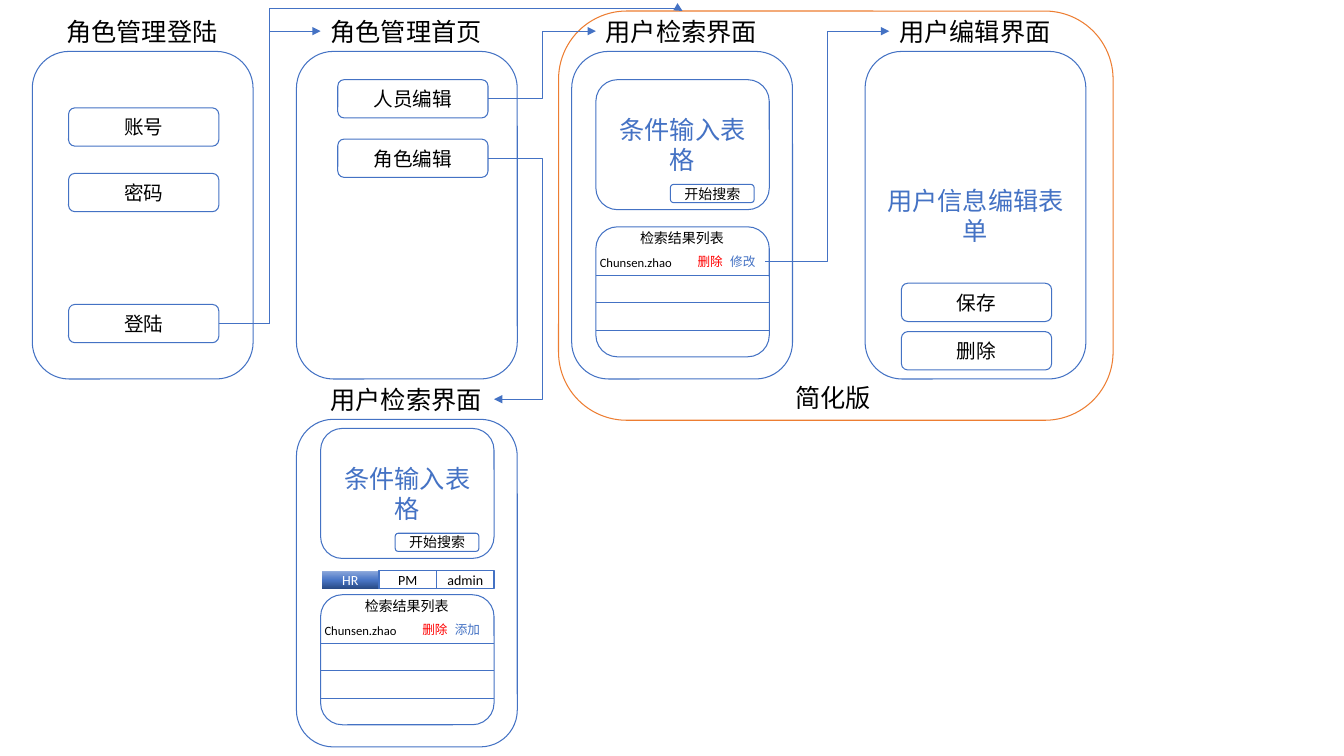
from copy import deepcopy
from dataclasses import dataclass

from pptx import Presentation
from pptx import util as u
from pptx.dml.color import RGBColor
from pptx.enum import shapes, text
from pptx.oxml import parse_xml
from pptx.oxml.ns import nsdecls, qn


@dataclass(frozen=True)
class Theme:
    """Colours, font and type sizes of the slide."""
    font: str = "Calibri"
    blue: str = "4472C4"
    orange: str = "ED7D31"
    red: str = "FF0000"
    black: str = "000000"
    white: str = "FFFFFF"
    tab_stops: tuple = ((0, "2A4B86"), (0.48, "4A76C6"), (1, "8FAADC"))
    heading: float = 18
    button: float = 14
    small: float = 10
    row: float = 9


@dataclass(frozen=True)
class Box:
    """A rectangle in inches."""
    left: float
    top: float
    width: float
    height: float

    def inner(self, dx, dy, width, height):
        """Return a box offset from this box's corner."""
        return Box(self.left + dx, self.top + dy, width, height)

    def lengths(self):
        """Return left, top, width and height as lengths."""
        return [u.Inches(v) for v in (self.left, self.top, self.width, self.height)]


THEME = Theme()
ROUND = shapes.MSO_SHAPE.ROUNDED_RECTANGLE
CENTER, LEFT, RIGHT = text.PP_ALIGN.CENTER, text.PP_ALIGN.LEFT, text.PP_ALIGN.RIGHT
SCREEN_TOP, LOWER_TOP = 0.51, 4.16
CAPTION_DX, CAPTION_RISE = 0.24, 0.4


def rgb(colour):
    """Turn a hex string into a colour."""
    return RGBColor.from_string(colour)


def write(frame, wording, size, colour, align):
    """Put formatted wording in a text frame."""
    frame.text = wording
    paragraph = frame.paragraphs[0]
    paragraph.alignment = align
    font = paragraph.runs[0].font
    font.name, font.size = THEME.font, u.Pt(size)
    font.color.rgb = rgb(colour)


def panel(slide, box, wording="", size=THEME.button, colour=THEME.black,
          line=THEME.blue, weight=0.75, kind=ROUND, fill=None):
    """Draw an outlined shape with optional centred wording."""
    shape = slide.shapes.add_shape(kind, *box.lengths())
    shape.shadow.inherit = False
    if fill:
        shape.fill.solid()
        shape.fill.fore_color.rgb = rgb(fill)
    else:
        shape.fill.background()
    shape.line.color.rgb = rgb(line)
    shape.line.width = u.Pt(weight)
    if wording:
        shape.text_frame.vertical_anchor = text.MSO_ANCHOR.MIDDLE
        write(shape.text_frame, wording, size, colour, CENTER)
    return shape


def label(slide, box, wording, size, colour=THEME.black, align=LEFT, wrap=False):
    """Add a free-standing piece of text."""
    frame = slide.shapes.add_textbox(*box.lengths()).text_frame
    frame.word_wrap = wrap
    frame.auto_size = text.MSO_AUTO_SIZE.SHAPE_TO_FIT_TEXT
    write(frame, wording, size, colour, align)


def link(slide, start, end, kind=shapes.MSO_CONNECTOR.STRAIGHT):
    """Draw a thin plain line between two points."""
    line = slide.shapes.add_connector(kind, *[u.Inches(v) for v in (*start, *end)])
    line.line.color.rgb = rgb(THEME.blue)
    line.line.width = u.Pt(0.5)
    line._element.spPr.append(parse_xml(f"<a:effectLst {nsdecls('a')}/>"))
    return line


def flow(slide, start, end, bends=()):
    """Draw an elbow arrow; bends are fractions of its width and height."""
    arrow = link(slide, start, end, shapes.MSO_CONNECTOR.ELBOW)
    arrow.line._get_or_add_ln().append(
        parse_xml(f'<a:tailEnd {nsdecls("a")} type="triangle"/>'))
    geometry = arrow._element.spPr.find(qn("a:prstGeom"))
    geometry.set("prst", f"bentConnector{max(3, len(bends) + 2)}")
    for old in list(geometry):
        geometry.remove(old)
    guides = "".join(f'<a:gd name="adj{i}" fmla="val {round(bend * 100000)}"/>'
                     for i, bend in enumerate(bends or (0.5,), 1))
    geometry.append(parse_xml(f"<a:avLst {nsdecls('a')}>{guides}</a:avLst>"))


def screen(slide, left, top, caption, wording=""):
    """Draw one app screen with its caption above; return its box."""
    box = Box(left, top, 2.19, 3.25)
    panel(slide, box, wording, THEME.heading, THEME.blue)
    label(slide, box.inner(CAPTION_DX, -CAPTION_RISE, 1.72, 0.4), caption, THEME.heading)
    return box


def button_screen(slide, left, caption, dx, buttons, wording=""):
    """Draw a screen holding buttons at the given depths."""
    box = screen(slide, left, SCREEN_TOP, caption, wording)
    for name, dy in buttons:
        panel(slide, box.inner(dx, dy, 1.49, 0.38), name)


def search_form(slide, box):
    """Draw the condition form and its search button."""
    panel(slide, box.inner(0.74, 1.04, 0.83, 0.18), "开始搜索", THEME.small)
    panel(slide, box, "条件输入表格", THEME.heading, THEME.blue)


def result_list(slide, box, action):
    """Draw the result list with one filled row."""
    panel(slide, box)
    label(slide, box.inner(0.34, -0.02, 1.04, 0.27), "检索结果列表", THEME.small)
    for dy in (0.48, 0.75, 1.03):
        y = box.top + dy
        link(slide, (box.left, y), (box.left + box.width, y))
    label(slide, box.inner(-0.06, 0.23, 0.92, 0.25), "Chunsen.zhao", THEME.row)
    label(slide, box.inner(0.91, 0.22, 0.51, 0.25), "删除", THEME.row, THEME.red, wrap=True)
    label(slide, box.inner(1.23, 0.22, 0.45, 0.25), action, THEME.row, THEME.blue, RIGHT)


def search_screen(slide, left, top, form_dy, action):
    """Draw a user search screen; return its box."""
    box = screen(slide, left, top, "用户检索界面")
    search_form(slide, box.inner(CAPTION_DX, form_dy, 1.72, 1.29))
    result_list(slide, box.inner(CAPTION_DX, 1.74, 1.72, 1.29), action)
    return box


def role_tabs(slide, box):
    """Draw the role tabs side by side, the first one selected."""
    for i, role in enumerate(("HR", "PM", "admin")):
        selected = i == 0
        tab = panel(slide, box.inner(i * box.width, 0, box.width, box.height), role,
                    THEME.small, THEME.white if selected else THEME.black, weight=1,
                    kind=shapes.MSO_SHAPE.RECTANGLE, fill=THEME.white)
        if selected:
            tab.line.fill.background()
            tab.fill.gradient()
            tab.fill.gradient_angle = 90
            stops = tab._element.spPr.find(".//" + qn("a:gsLst"))
            stops.append(deepcopy(stops[-1]))
            for stop, (position, colour) in zip(tab.fill.gradient_stops, THEME.tab_stops):
                stop.position = position
                stop.color.rgb = rgb(colour)


def simplified_group(slide, box):
    """Frame the screens of the simplified version."""
    panel(slide, box, line=THEME.orange)
    label(slide, box.inner(2.25, 3.63, 0.96, 0.4), "简化版", THEME.heading)


def flows(slide):
    """Connect the buttons to the screens they open."""
    caption_y = 0.31
    flow(slide, (7.59, 2.59), (8.82, caption_y))
    flow(slide, (4.84, 0.98), (5.91, caption_y))
    flow(slide, (4.84, 1.57), (4.9, 3.96), (9.03,))
    flow(slide, (2.17, 3.21), (3.18, caption_y))
    flow(slide, (2.17, 3.21), (6.77, 0.11), (0.11, 1.01))


def main():
    """Build the slide and save it."""
    deck = Presentation()
    deck.slide_width, deck.slide_height = u.Inches(13.33), u.Inches(7.5)
    slide = deck.slides.add_slide(deck.slide_layouts[6])
    button_screen(slide, 2.94, "角色管理首页", 0.41, (("人员编辑", 0.28), ("角色编辑", 0.87)))
    search_screen(slide, 5.67, SCREEN_TOP, 0.28, "修改")
    button_screen(slide, 8.58, "用户编辑界面", 0.36, (("保存", 2.3), ("删除", 2.78)),
                  "用户信息编辑表单")
    role_search = search_screen(slide, 2.94, LOWER_TOP, 0.09, "添加")
    role_tabs(slide, role_search.inner(0.25, 1.5, 0.57, 0.18))
    button_screen(slide, 0.32, "角色管理登陆", 0.36,
                  (("账号", 0.56), ("密码", 1.21), ("登陆", 2.51)))
    simplified_group(slide, Box(5.54, 0.11, 5.5, 4.06))
    flows(slide)
    deck.save("out.pptx")


main()
